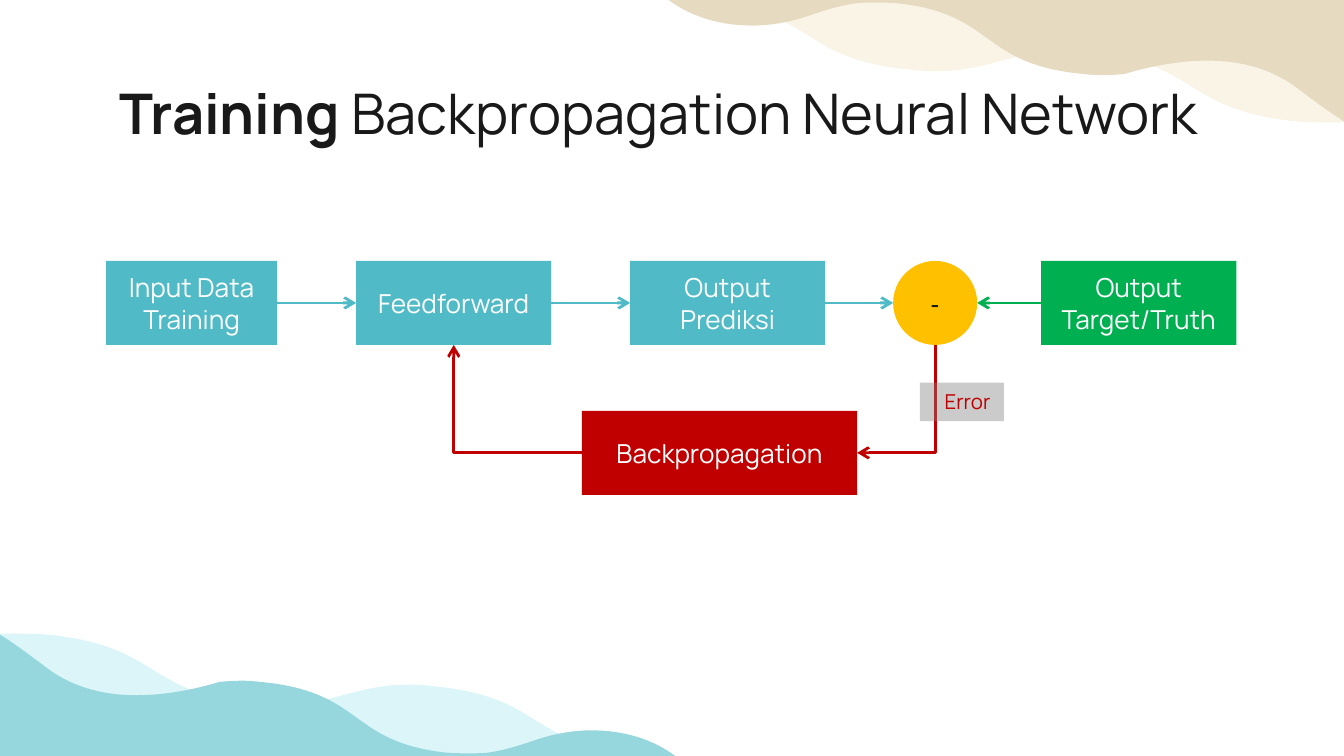
from lxml import etree
from pptx import Presentation
from pptx.dml.color import RGBColor
from pptx.enum.shapes import MSO_CONNECTOR, MSO_SHAPE
from pptx.enum.text import MSO_ANCHOR, PP_ALIGN
from pptx.oxml.ns import qn
from pptx.util import Pt

RECT, OVAL = MSO_SHAPE.RECTANGLE, MSO_SHAPE.OVAL
STRAIGHT, ELBOW = MSO_CONNECTOR.STRAIGHT, MSO_CONNECTOR.ELBOW
CENTER, RIGHT = PP_ALIGN.CENTER, PP_ALIGN.RIGHT
TOP, MIDDLE = MSO_ANCHOR.TOP, MSO_ANCHOR.MIDDLE

WIDTH, HEIGHT = 720, 405
FONT = "Manrope"
COLORS = {
    "ink": "191919", "white": "FFFFFF", "teal": "50BBC6", "red": "C00000",
    "green": "00B050", "amber": "FFC000", "gray": "7F7F7F",
    "sand": "E6DAC1", "pale_sand": "FAF4E6", "sea": "96D6DD", "pale_sea": "DBF5F8",
}

FRONT_WAVE = [
    (0, 65),
    (8, 60), (16, 54), (24, 48),
    (38, 37), (55, 32.5), (73, 32.5),
    (88, 32.5), (103, 35.3), (117.4, 39.6),
    (121, 40), (125.3, 40.3), (130.3, 40.3),
    (134.6, 40.3), (140.4, 39.6), (146.2, 38.9),
    (193.7, 32.4), (188.6, 8.6), (235.4, 2.2),
    (241.2, 1.4), (246.2, 1.4), (251.3, 1.4),
    (256.3, 1.4), (260.6, 1.4), (264.2, 2.2),
    (272.2, 3.6), (278.6, 5.8), (285.1, 7.9),
    (295.2, 11.5), (306, 13.7), (316.8, 13.7),
    (333.4, 13.7), (349.2, 9.4), (361.7, 0),
]
BACK_WAVE = [
    (0, 65.5),
    (2.9, 65.5), (6.5, 65.5), (10, 65.5),
    (16.6, 65.5), (23.8, 65.5), (33.1, 64.1),
    (84.2, 56.9), (79.9, 35.3), (131, 28.1),
    (137.5, 27.4), (144, 27.4), (149.8, 27.4),
    (178.6, 27.4), (190.1, 38.2), (219.6, 38.2),
    (225.4, 38.2), (231.1, 37.4), (238.3, 36.7),
    (289.4, 30.2), (284.4, 7.9), (336.2, 1.4),
    (341.3, 0.7), (347, 0), (351.4, 0),
]


def rgb(name):
    return RGBColor.from_string(COLORS[name])


def paint(shape, color):
    shape.shadow.inherit = False
    shape.fill.solid()
    shape.fill.fore_color.rgb = rgb(color)
    shape.line.fill.background()


def bend_segments(wave):
    segments = list(wave._element.iter(qn("a:lnTo")))[1:]
    for i in range(0, len(segments) - 2, 3):
        curve = etree.Element(qn("a:cubicBezTo"))
        segments[i].addprevious(curve)
        for segment in segments[i:i + 3]:
            curve.append(segment[0])
            segment.getparent().remove(segment)


def add_waves(slide, corner, direction, back_color, front_color):
    x, y = corner
    for controls, color in ((BACK_WAVE, back_color), (FRONT_WAVE, front_color)):
        outline = [(Pt(x + direction * u), Pt(y - direction * v)) for u, v in controls]
        builder = slide.shapes.build_freeform(Pt(x), Pt(y))
        builder.add_line_segments(outline, close=True)
        wave = builder.convert_to_shape()
        bend_segments(wave)
        paint(wave, color)


def add_title(slide, left, top, width, height):
    frame = slide.shapes.add_textbox(Pt(left), Pt(top), Pt(width), Pt(height)).text_frame
    frame.word_wrap = True
    frame.vertical_anchor = TOP
    frame.margin_top = frame.margin_bottom = Pt(7.2)
    heading = frame.paragraphs[0]
    heading.font.name, heading.font.size = FONT, Pt(30)
    heading.font.color.rgb = rgb("ink")
    for words, bold in (("Training ", True), ("Backpropagation Neural Network", False)):
        run = heading.add_run()
        run.text = words
        run.font.bold = bold


def add_node(slide, words, box, color, kind=RECT, ink="white", font=FONT, size=14, align=CENTER):
    node = slide.shapes.add_shape(kind, *map(Pt, box))
    paint(node, color)
    frame = node.text_frame
    frame.word_wrap = True
    frame.vertical_anchor = MIDDLE
    frame.text = words
    label = frame.paragraphs[0]
    label.alignment = align
    label.font.name, label.font.size = font, Pt(size)
    label.font.color.rgb = rgb(ink)
    return node


def add_arrow(slide, start, end, color, kind=STRAIGHT):
    arrow = slide.shapes.add_connector(kind, *map(Pt, (*start, *end)))
    arrow.line.color.rgb = rgb(color)
    arrow.line.width = Pt(1.5)
    etree.SubElement(arrow.line._get_or_add_ln(), qn("a:tailEnd"), type="arrow")
    etree.SubElement(arrow._element.spPr, qn("a:effectLst"))
    return arrow


def add_corner_arrow(slide, start, end, color, turn):
    mid_x, mid_y = (start[0] + end[0]) / 2, (start[1] + end[1]) / 2
    half_w, half_h = abs(end[0] - start[0]) / 2, abs(end[1] - start[1]) / 2
    if turn == 90:
        half_w, half_h = half_h, half_w
    arrow = add_arrow(slide, (mid_x - half_w, mid_y - half_h),
                      (mid_x + half_w, mid_y + half_h), color, ELBOW)
    properties = arrow._element.spPr
    properties.find(qn("a:xfrm")).set("rot", str(turn * 60000))
    properties.find(qn("a:prstGeom")).set("prst", "bentConnector2")


def add_training_loop(slide, left, top):
    tall, wide = 45, 104.5
    feed_x, prediction_x, minus_x, target_x = (left + dx for dx in (134, 280.8, 421.7, 501))
    back_x, back_y, back_wide = left + 255, top + 80.3, 147.4
    row_y, loop_y, bottom = top + tall / 2, back_y + tall / 2, top + tall
    input_wide = 91.7

    add_node(slide, "Input Data Training", (left, top, input_wide, tall), "teal")
    add_node(slide, "Feedforward", (feed_x, top, wide, tall), "teal")
    add_node(slide, "Backpropagation", (back_x, back_y, back_wide, tall), "red")
    add_node(slide, "Output Target/Truth", (target_x, top, wide, tall), "green")
    add_node(slide, "Output Prediksi", (prediction_x, top, wide, tall), "teal")
    add_node(slide, "-", (minus_x, top, tall, tall), "amber", OVAL, "ink", "Arial")

    for start_x, end_x, color in (
        (left + input_wide, feed_x, "teal"),
        (feed_x + wide, prediction_x, "teal"),
        (prediction_x + wide, minus_x, "teal"),
        (target_x, minus_x + tall, "green"),
    ):
        add_arrow(slide, (start_x, row_y), (end_x, row_y), color)
    add_corner_arrow(slide, (minus_x + tall / 2, bottom), (back_x + back_wide, loop_y), "red", 90)
    add_corner_arrow(slide, (back_x, loop_y), (feed_x + wide / 2, bottom), "red", 180)

    error = add_node(slide, "Error", (left + 436, top + 65.2, 45, 20.6), "gray",
                     ink="red", size=11, align=RIGHT)
    error.text_frame.vertical_anchor = TOP
    tint = error._element.spPr.find(qn("a:solidFill"))[0]
    etree.SubElement(tint, qn("a:alpha"), val="40000")


def main():
    deck = Presentation()
    deck.slide_width, deck.slide_height = Pt(WIDTH), Pt(HEIGHT)
    slide = deck.slides.add_slide(deck.slide_layouts[6])
    add_waves(slide, (0, HEIGHT), 1, "pale_sea", "sea")
    add_waves(slide, (WIDTH, 0), -1, "pale_sand", "sand")
    add_title(slide, 56.8, 35, 607, 45.4)
    add_training_loop(slide, 56.8, 139.8)
    deck.save("out.pptx")


if __name__ == "__main__":
    main()
